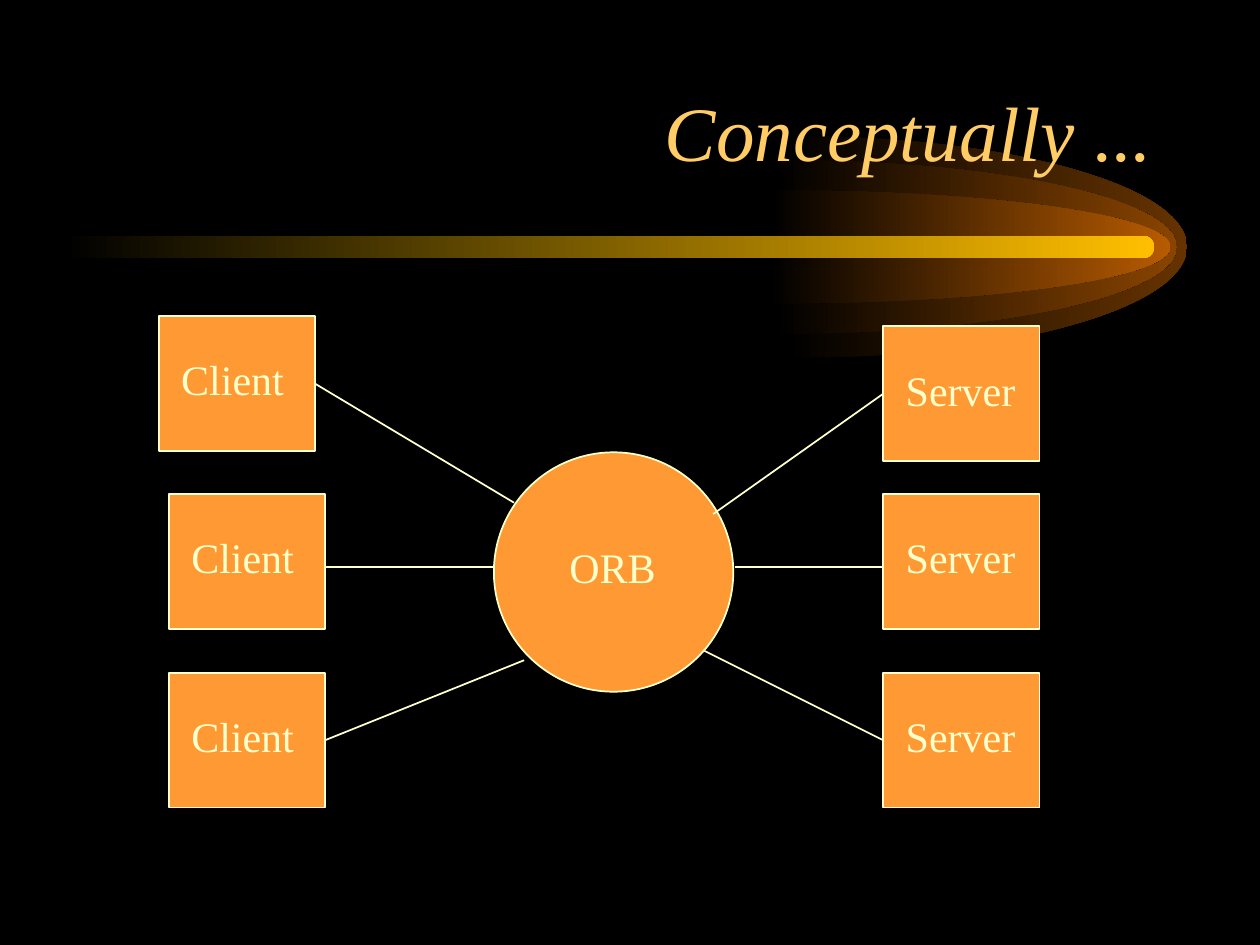
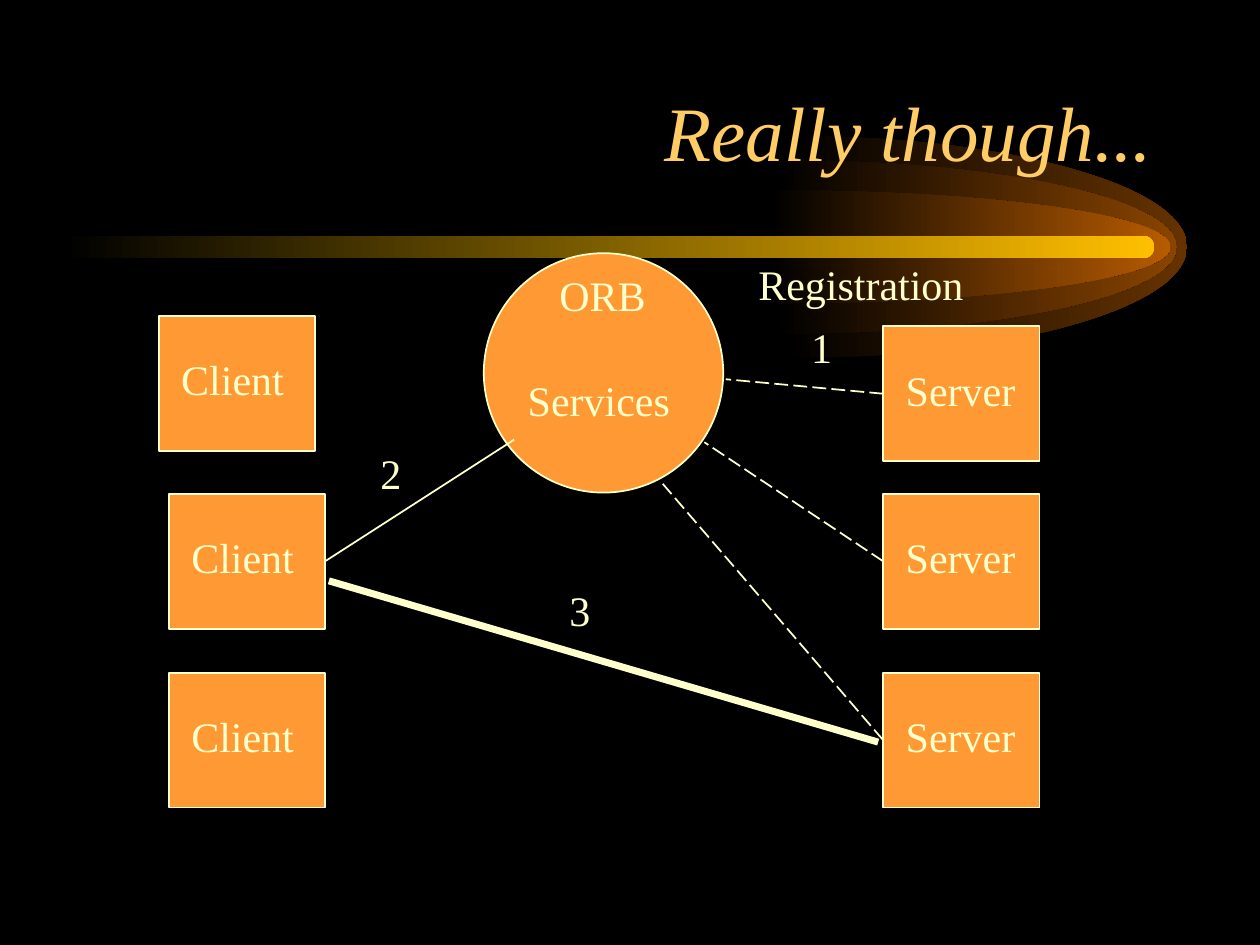
"""Build two slides on how clients reach servers through an ORB."""
from dataclasses import dataclass

from lxml.etree import SubElement as Sub
from pptx import Presentation
from pptx.dml.color import RGBColor as Rgb
from pptx.enum.dml import MSO_LINE as Dash
from pptx.enum.shapes import MSO_CONNECTOR as Wire, MSO_SHAPE as Kind
from pptx.enum.text import MSO_ANCHOR as Anchor, MSO_AUTO_SIZE as Fit, PP_ALIGN as Align
from pptx.oxml.ns import qn
from pptx.util import Inches, Pt


@dataclass(frozen=True)
class Theme:
    back: str = "000000"
    title: str = "FFCC66"
    fill: str = "FF9933"
    pale: str = "FFFFCC"
    bar: str = "FFBF00"
    glows: tuple = ("663300", "894400", "B75B00")
    font: str = "Times New Roman"
    head: int = 44
    body: int = 24
    thin: int = 1
    thick: int = 4


BOX_W, BOX_H = 1.24, 1.07
ORB_D = 1.9
LEFT, RIGHT = 1, 3
CLIENTS = [(1.26, 2.51), (1.34, 3.92), (1.34, 5.34)]
SERVERS = [(7.01, 2.59), (7.01, 3.92), (7.01, 5.34)]
GLOWS = [(6.29, 0.88), (6.21, 0.69), (6.16, 0.45)]
GLOW_W, GLOW_Y, TAIL = 3.13, 1.96, 0.05
CURVE = 0.55


def write(frame, text, *, font, size, color, italic=False,
          align=Align.LEFT, anchor=Anchor.TOP, fit=Fit.SHAPE_TO_FIT_TEXT):
    frame.word_wrap = True
    frame.auto_size = fit
    frame.vertical_anchor = anchor
    para = frame.paragraphs[0]
    para.alignment = align
    run = para.add_run()
    run.text = text
    run.font.name = font
    run.font.size = Pt(size)
    run.font.italic = italic
    run.font.color.rgb = Rgb.from_string(color)


def bend(shape, count):
    lines = shape.element.xpath(".//a:lnTo")[:count * 3]
    for start in range(0, count * 3, 3):
        trio = lines[start:start + 3]
        curve = trio[0].getparent().makeelement(qn("a:cubicBezTo"))
        trio[0].addprevious(curve)
        for line in trio:
            curve.append(line[0])
            line.getparent().remove(line)


class Deck:
    def __init__(self, theme):
        self.theme = theme
        self.show = Presentation()
        self.show.slide_width, self.show.slide_height = Inches(10), Inches(7.5)
        self.plan = self.show.slide_layouts.get_by_name("Title Only")
        self.slide = None
        back = self.show.slide_master.background.fill
        back.solid()
        back.fore_color.rgb = Rgb.from_string(theme.back)

    def page(self, title):
        first = self.slide is None
        self.slide = self.show.slides.add_slide(self.plan)
        if first:
            self.comet()
        head = self.slide.shapes.title
        head.left, head.top = Inches(0.75), Inches(0.41)
        head.width, head.height = Inches(8.5), Inches(1.25)
        write(head.text_frame, title, font=self.theme.font, size=self.theme.head,
              color=self.theme.title, italic=True, align=Align.RIGHT,
              anchor=Anchor.MIDDLE, fit=Fit.NONE)

    def comet(self):
        parts = [self.glow(x, high, tint)
                 for (x, high), tint in zip(GLOWS, self.theme.glows)]
        bar = self.slide.shapes.add_shape(
            Kind.ROUNDED_RECTANGLE, Inches(0.5), Inches(1.87), Inches(8.66), Inches(0.18))
        bar.adjustments[0] = 0.5
        self.fade(bar, self.theme.bar)
        for num, part in enumerate(parts + [bar], 100):
            part.element.nvSpPr.cNvPr.set("id", str(num))
            self.plan.shapes.element.append(part.element)

    def glow(self, x, high, tint):
        units = [(0, -1), (CURVE, -1), (1, -CURVE), (1, 0),
                 (1, CURVE), (CURVE, 1), (0, 1)]
        rim = [(x + GLOW_W * across, GLOW_Y + high * down) for across, down in units]
        rim += [(x - TAIL, GLOW_Y + high), (x, GLOW_Y)]
        spots = [(Inches(across), Inches(down)) for across, down in rim]
        pen = self.slide.shapes.build_freeform(*spots[0])
        pen.add_line_segments(spots[1:], close=True)
        shape = pen.convert_to_shape()
        bend(shape, 2)
        self.fade(shape, tint)
        return shape

    def fade(self, shape, tint):
        shape.shadow.inherit = False
        shape.line.fill.background()
        shape.fill.gradient()
        shape.fill.gradient_angle = 0
        for stop, color, place in zip(shape.fill.gradient_stops,
                                      (self.theme.back, tint), (0, 1)):
            stop.color.rgb = Rgb.from_string(color)
            stop.position = place

    def solid(self, kind, x, y, wide, high):
        shape = self.slide.shapes.add_shape(
            kind, Inches(x), Inches(y), Inches(wide), Inches(high))
        shape.shadow.inherit = False
        shape.fill.solid()
        shape.fill.fore_color.rgb = Rgb.from_string(self.theme.fill)
        shape.line.color.rgb = Rgb.from_string(self.theme.pale)
        shape.line.width = Pt(self.theme.thin)
        return shape

    def label(self, text, x, y, wide=1.33):
        box = self.slide.shapes.add_textbox(
            Inches(x), Inches(y), Inches(wide), Inches(0.5))
        write(box.text_frame, text, font=self.theme.font,
              size=self.theme.body, color=self.theme.pale)

    def node(self, text, x, y):
        box = self.solid(Kind.RECTANGLE, x, y, BOX_W, BOX_H)
        self.label(text, x + 0.08, y + 0.25)
        return box

    def nodes(self):
        return ([self.node("Client", *spot) for spot in CLIENTS],
                [self.node("Server", *spot) for spot in SERVERS])

    def orb(self, x, y):
        self.solid(Kind.OVAL, x, y, ORB_D, ORB_D)

    def line(self, start, end, width=None, dash=None):
        wire = self.slide.shapes.add_connector(
            Wire.STRAIGHT, *map(Inches, start + end))
        wire.line.color.rgb = Rgb.from_string(self.theme.pale)
        wire.line.width = Pt(width or self.theme.thin)
        if dash:
            wire.line.dash_style = dash
        Sub(wire.element.spPr, qn("a:effectLst"))
        return wire

    def link(self, box, side, spot, dash=None):
        self.line(spot, spot, dash=dash).begin_connect(box, side)

    def save(self):
        self.show.save("out.pptx")


def concept(deck):
    deck.page("Conceptually ...")
    clients, servers = deck.nodes()
    deck.orb(3.92, 3.59)
    deck.label("ORB", 4.42, 4.25, 1.25)
    deck.link(clients[0], RIGHT, (4.08, 3.99))
    deck.line((2.59, 4.5), (3.91, 4.5))
    deck.link(clients[2], RIGHT, (4.16, 5.24))
    deck.link(servers[0], LEFT, (5.66, 4.08))
    deck.line((7.01, 4.5), (5.83, 4.5))
    deck.link(servers[2], LEFT, (5.58, 5.16))


def reality(deck):
    deck.page("Really though...")
    clients, servers = deck.nodes()
    deck.orb(3.84, 2.01)
    deck.label("ORB", 4.34, 2.09, 1.25)
    deck.label("Services", 4.09, 2.92)
    deck.link(clients[1], RIGHT, (4.08, 3.49))
    for box, spot in zip(servers, [(5.76, 3.01), (5.59, 3.51), (5.26, 3.84)]):
        deck.link(box, LEFT, spot, dash=Dash.LONG_DASH)
    deck.label("Registration", 5.92, 2, 1.91)
    deck.line((2.61, 4.61), (6.97, 5.89), width=deck.theme.thick)
    deck.label("1", 6.34, 2.5, 0.33)
    deck.label("2", 2.92, 3.5, 0.41)
    deck.label("3", 4.42, 4.59, 0.5)


def main():
    deck = Deck(Theme())
    concept(deck)
    reality(deck)
    deck.save()


if __name__ == "__main__":
    main()
